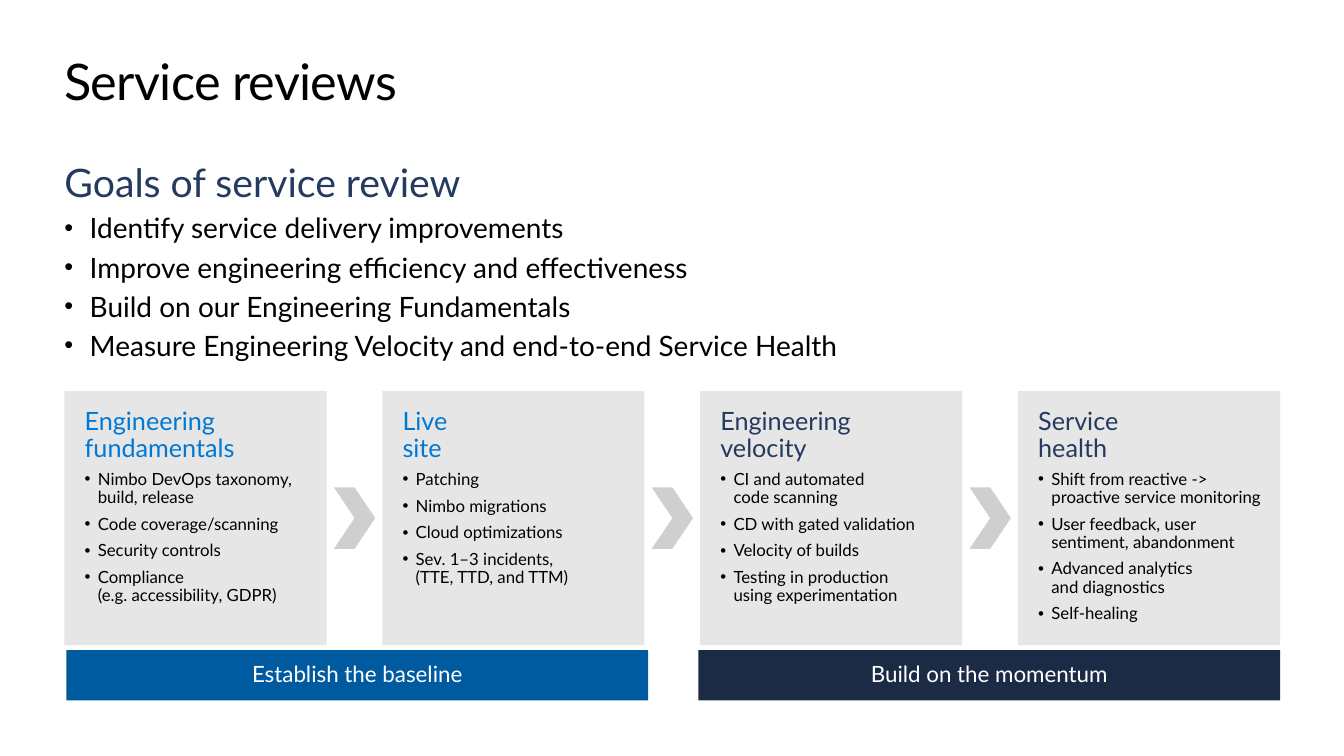
from copy import deepcopy

from lxml.etree import SubElement
from pptx import Presentation
from pptx.dml.color import RGBColor
from pptx.enum.shapes import MSO_SHAPE
from pptx.enum.text import MSO_ANCHOR, MSO_AUTO_SIZE, PP_ALIGN
from pptx.oxml.ns import qn
from pptx.util import Pt

FONT = "Lato"
BLACK, WHITE, NAVY, BLUE = "000000", "FFFFFF", "243A5E", "0078D4"
LEFT, WIDTH = 46.1, 868.3

GOALS = [
    "Identify service delivery improvements",
    "Improve engineering efficiency and effectiveness",
    "Build on our Engineering Fundamentals",
    "Measure Engineering Velocity and end-to-end Service Health",
]
# Heading, heading colour, points
STAGES = [
    ("Engineering\vfundamentals", BLUE,
     ["Nimbo DevOps taxonomy,\vbuild, release", "Code coverage/scanning",
      "Security controls", "Compliance\v(e.g. accessibility, GDPR)"]),
    ("Live\vsite", BLUE,
     ["Patching", "Nimbo migrations", "Cloud optimizations",
      "Sev. 1–3 incidents,\v(TTE, TTD, and TTM)"]),
    ("Engineering\vvelocity", NAVY,
     ["CI and automated\vcode scanning", "CD with gated validation",
      "Velocity of builds", "Testing in production\vusing experimentation"]),
    ("Service\vhealth", NAVY,
     ["Shift from reactive ->\vproactive service monitoring",
      "User feedback, user\vsentiment, abandonment",
      "Advanced analytics\vand diagnostics", "Self-healing"]),
]
PHASES = [("Establish the baseline", "005A9F"), ("Build on the momentum", "1B2B46")]


def rgb(value):
    return RGBColor.from_string(value)


def set_frame(frame, left=0, top=0, right=0, bottom=0, anchor=MSO_ANCHOR.TOP):
    frame.word_wrap = True
    frame.auto_size = MSO_AUTO_SIZE.NONE
    frame.vertical_anchor = anchor
    frame.margin_left, frame.margin_top = Pt(left), Pt(top)
    frame.margin_right, frame.margin_bottom = Pt(right), Pt(bottom)


def style(paragraph, size, color, align=PP_ALIGN.LEFT):
    paragraph.alignment = align
    for run in paragraph.runs:
        run.font.name, run.font.size = FONT, Pt(size)
        run.font.color.rgb = rgb(color)
    # Line breaks take the same text properties as the runs
    for line_break in paragraph._p.findall(qn("a:br")):
        line_break.append(deepcopy(paragraph.runs[0].font._element))


def add_bullet(paragraph, indent, percent=100):
    properties = paragraph._p.get_or_add_pPr()
    properties.set("marL", str(Pt(indent)))
    properties.set("indent", str(-Pt(indent)))
    SubElement(properties, qn("a:buSzPct")).set("val", str(percent * 1000))
    SubElement(properties, qn("a:buFont")).set("typeface", "Arial")
    SubElement(properties, qn("a:buChar")).set("char", "•")


def add_block(slide, kind, left, top, width, height, fill):
    block = slide.shapes.add_shape(kind, Pt(left), Pt(top), Pt(width), Pt(height))
    block.shadow.inherit = False
    block.fill.solid()
    block.fill.fore_color.rgb = rgb(fill)
    block.line.fill.background()
    return block


def add_title(slide, left, top, width, height):
    title = slide.shapes.title
    title.left, title.top, title.width, title.height = map(Pt, (left, top, width, height))
    set_frame(title.text_frame)
    title.text_frame.text = "Service reviews"
    heading = title.text_frame.paragraphs[0]
    style(heading, 36, BLACK)
    heading.runs[0].font._element.set("spc", "-50")


def add_goals(slide, left, top, width, height):
    frame = slide.shapes.add_textbox(Pt(left), Pt(top), Pt(width), Pt(height)).text_frame
    set_frame(frame)
    frame.text = "Goals of service review"
    style(frame.paragraphs[0], 28, NAVY)
    for text in GOALS:
        goal = frame.add_paragraph()
        goal.text = text
        goal.space_before = Pt(4)
        add_bullet(goal, 18, 90)
        style(goal, 20, BLACK)


def add_stage(slide, left, top, width, height, heading, color, points):
    card = add_block(slide, MSO_SHAPE.RECTANGLE, left, top, width, height, "E6E6E6")
    frame = card.text_frame
    set_frame(frame, 14.4, 12.2, 7.2, 11.5)
    frame.text = heading
    style(frame.paragraphs[0], 18, color)
    for text in points:
        point = frame.add_paragraph()
        point.text = text
        add_bullet(point, 9.4)
        style(point, 12, BLACK)
    for paragraph in frame.paragraphs:
        paragraph.line_spacing, paragraph.space_after = 0.9, Pt(6)


def add_stages(slide, left, top, width, height):
    card_width, arrow_width, arrow_height = 187.2, 29.5, 44
    pitch = (width - card_width) / (len(STAGES) - 1)
    for index, stage in enumerate(STAGES):
        card_left = left + index * pitch
        add_stage(slide, card_left, top, card_width, height, *stage)
        # Chevron centred in the gap before the next card
        if index < len(STAGES) - 1:
            arrow_left = card_left + (card_width + pitch - arrow_width) / 2
            add_block(slide, MSO_SHAPE.CHEVRON, arrow_left,
                      top + (height - arrow_height) / 2,
                      arrow_width, arrow_height, "CFCFCF")


def add_phases(slide, left, top, width, height):
    gap = 36
    bar_width = (width - gap) / len(PHASES)
    for index, (text, fill) in enumerate(PHASES):
        bar = add_block(slide, MSO_SHAPE.RECTANGLE, left + index * (bar_width + gap),
                        top, bar_width, height, fill)
        set_frame(bar.text_frame, 14.4, 0, 14.4, 0, MSO_ANCHOR.MIDDLE)
        bar.text_frame.text = text
        label = bar.text_frame.paragraphs[0]
        label.line_spacing = 0.9
        style(label, 16, WHITE, PP_ALIGN.CENTER)


def main():
    presentation = Presentation()
    presentation.slide_width, presentation.slide_height = Pt(960), Pt(540)
    slide = presentation.slides.add_slide(presentation.slide_layouts[5])
    add_title(slide, LEFT, 36, WIDTH, 44)
    add_goals(slide, LEFT, 113, WIDTH, 148)
    add_stages(slide, LEFT, 279.4, WIDTH, 181.4)
    add_phases(slide, LEFT + 1.4, 464.4, WIDTH - 1.4, 36)
    presentation.save("out.pptx")


if __name__ == "__main__":
    main()
